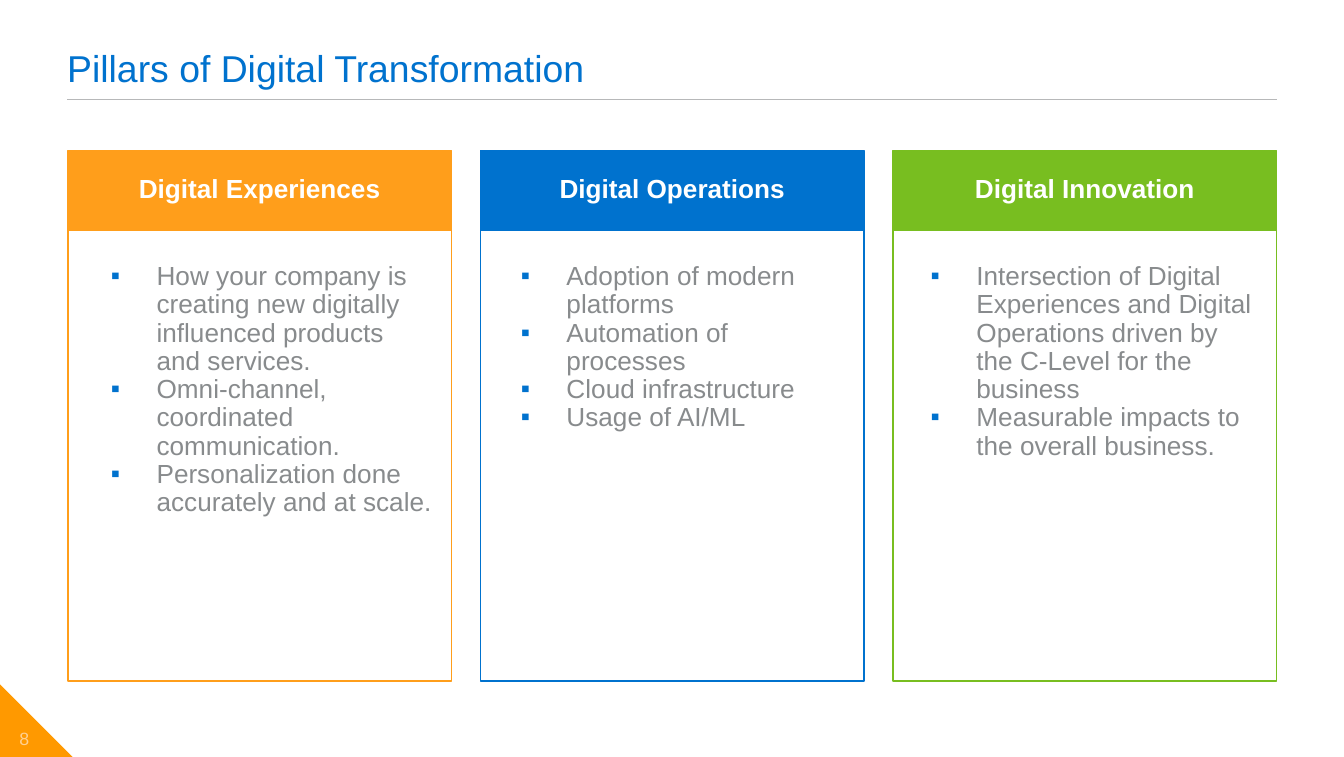
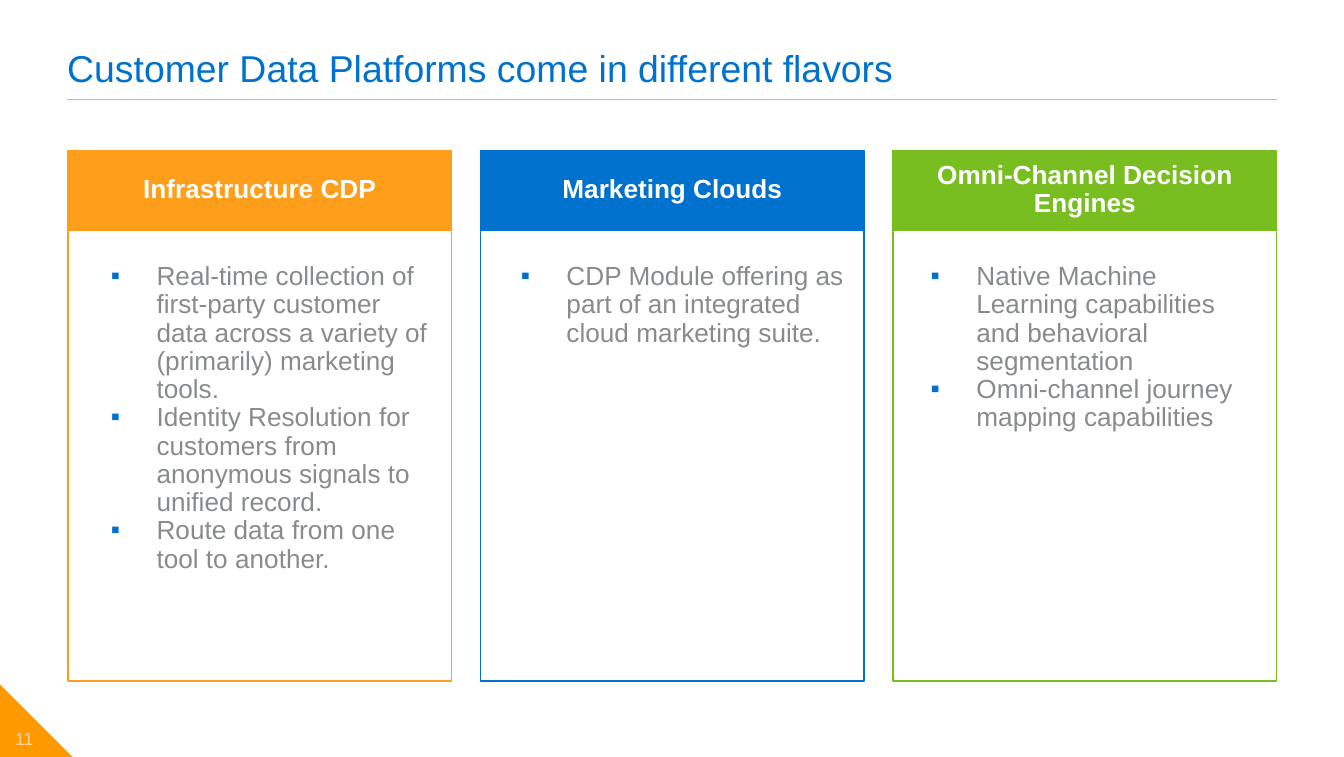
from copy import deepcopy

from lxml import etree
from pptx import Presentation
from pptx import util as u
from pptx.dml.color import RGBColor
from pptx.enum import shapes, text
from pptx.oxml.ns import qn

# Content: page number, title, then (heading, bullets) for each column
SLIDES = [
    (8, "Pillars of Digital Transformation", [
        ("Digital Experiences", [
            "How your company is creating new digitally influenced products and services.",
            "Omni-channel, coordinated communication.",
            "Personalization done accurately and at scale.",
        ]),
        ("Digital Operations", [
            "Adoption of modern platforms",
            "Automation of processes",
            "Cloud infrastructure",
            "Usage of AI/ML",
        ]),
        ("Digital Innovation", [
            "Intersection of Digital Experiences and Digital Operations driven by "
            "the C-Level for the business",
            "Measurable impacts to the overall business.",
        ]),
    ]),
    (11, "Customer Data Platforms come in different flavors", [
        ("Infrastructure CDP", [
            "Real-time collection of first-party customer data across a variety of "
            "(primarily) marketing tools.",
            "Identity Resolution for customers from anonymous signals to unified record.",
            "Route data from one tool to another.",
        ]),
        ("Marketing Clouds", [
            "CDP Module offering as part of an integrated cloud marketing suite.",
        ]),
        ("Omni-Channel Decision Engines", [
            "Native Machine Learning capabilities and behavioral segmentation",
            "Omni-channel journey mapping capabilities",
        ]),
    ]),
]

# Shared look
COLORS = {
    "orange": "FF9E1B", "blue": "0072CE", "green": "78BE20",
    "corner": "FF9900", "number": "FFD092", "rule": "B7B8B9",
    "body": "888B8D", "white": "FFFFFF",
}
COLUMN_COLORS = ["orange", "blue", "green"]
FONT = "Arial"
LINE_WIDTH = u.Pt(0.75)

# Geometry in px, 200 px to the inch
SCALE = 4572
WIDTH, HEIGHT = 2000, 1126
MARGIN, RULE_Y = 100, 148
TITLE = (MARGIN, 23, 1800, 112)
CORNER = 108
NUMBER = (-9, 1071, 90, 60)
FRAME_LEFT, FRAME_PITCH, FRAME_WIDTH = 101, 614, 571
HEADING_TOP, HEADING_HEIGHT = 224, 118
FRAME_TOP, FRAME_HEIGHT = HEADING_TOP + HEADING_HEIGHT, 671
LIST_LEFT, LIST_PITCH, LIST_WIDTH = 133, 610, 514
LIST_TOP, LIST_HEIGHT = 391, 588
HEADING_INSET = 20
BULLET_MARGIN, BULLET_HANG = 100, 68

# Placeholder numbers of each column's heading and list
COMPARISON = 4
HEADING_IDS, LIST_IDS = (1, 3, 5), (2, 4, 6)


def px(length):
    return u.Emu(length * SCALE)


def color(name):
    return RGBColor.from_string(COLORS[name])


def place(shape, left, top, width, height):
    shape.left, shape.top = px(left), px(top)
    shape.width, shape.height = px(width), px(height)


def paint(shape, fill=None, line=None):
    if fill:
        shape.fill.solid()
        shape.fill.fore_color.rgb = color(fill)
    else:
        shape.fill.background()
    if line:
        shape.line.color.rgb = color(line)
        shape.line.width = LINE_WIDTH
    else:
        shape.line.fill.background()


def add_bullet(para):
    props = para._p.get_or_add_pPr()
    props.set("marL", str(px(BULLET_MARGIN)))
    props.set("indent", str(-px(BULLET_HANG)))
    tint = etree.SubElement(props, qn("a:buClr"))
    etree.SubElement(tint, qn("a:srgbClr"), val=COLORS["blue"])
    etree.SubElement(props, qn("a:buFont"), typeface=FONT)
    etree.SubElement(props, qn("a:buChar"), char="▪")


def write(shape, lines, size, ink, align=text.PP_ALIGN.LEFT,
          anchor=text.MSO_ANCHOR.TOP, inset=0, bold=False, bullets=False):
    frame = shape.text_frame
    frame.word_wrap = True
    frame.auto_size = text.MSO_AUTO_SIZE.NONE
    frame.vertical_anchor = anchor
    frame.margin_left = frame.margin_right = px(inset)
    frame.margin_top = frame.margin_bottom = px(inset)
    frame.text = "\n".join(lines)
    for para in frame.paragraphs:
        para.alignment = align
        para.line_spacing = 0.9
        para.space_before = u.Pt(0)
        if bullets:
            add_bullet(para)
        para.font.name, para.font.size = FONT, u.Pt(size)
        para.font.bold = bold
        para.font.color.rgb = color(ink)


def add_box(page, kind, spot, **colors):
    box = page.shapes.add_shape(kind, *map(px, spot))
    box.shadow.inherit = False
    paint(box, **colors)


def add_third_column(layout):
    """Give the two-column comparison layout a third heading and list."""
    for holder in list(layout.placeholders):
        number = holder.placeholder_format.idx
        if number in (HEADING_IDS[1], LIST_IDS[1]):
            twin = deepcopy(holder._element)
            twin.find(".//" + qn("p:cNvPr")).set("id", str(20 + number))
            twin.find(".//" + qn("p:ph")).set("idx", str(number + 2))
            holder._element.addnext(twin)


def add_backdrop(page, number):
    add_box(page, shapes.MSO_SHAPE.RIGHT_TRIANGLE,
            (0, HEIGHT - CORNER, CORNER, CORNER), fill="corner")
    rule = page.shapes.add_connector(
        shapes.MSO_CONNECTOR.STRAIGHT,
        px(MARGIN), px(RULE_Y), px(WIDTH - MARGIN), px(RULE_Y))
    rule.line.color.rgb = color("rule")
    rule.line.width = LINE_WIDTH
    etree.SubElement(rule._element.spPr, qn("a:effectLst"))
    box = page.shapes.add_textbox(*map(px, NUMBER))
    write(box, [str(number)], 9.5, "number", text.PP_ALIGN.CENTER,
          text.MSO_ANCHOR.MIDDLE)


def add_column(page, index, heading, items):
    tint = COLUMN_COLORS[index]
    left = FRAME_LEFT + index * FRAME_PITCH
    add_box(page, shapes.MSO_SHAPE.RECTANGLE,
            (left, FRAME_TOP, FRAME_WIDTH, FRAME_HEIGHT), line=tint)
    holders = {item.placeholder_format.idx: item for item in page.placeholders}

    banner = holders[HEADING_IDS[index]]
    place(banner, left, HEADING_TOP, FRAME_WIDTH, HEADING_HEIGHT)
    paint(banner, fill=tint, line=tint)
    write(banner, [heading], 14, "white", text.PP_ALIGN.CENTER,
          text.MSO_ANCHOR.MIDDLE, HEADING_INSET, bold=True)

    listing = holders[LIST_IDS[index]]
    place(listing, LIST_LEFT + index * LIST_PITCH, LIST_TOP, LIST_WIDTH, LIST_HEIGHT)
    write(listing, items, 14, "body", bullets=True)


def main():
    deck = Presentation()
    deck.slide_width, deck.slide_height = px(WIDTH), px(HEIGHT)
    layout = deck.slide_layouts[COMPARISON]
    add_third_column(layout)
    for number, title, columns in SLIDES:
        page = deck.slides.add_slide(layout)
        add_backdrop(page, number)
        place(page.shapes.title, *TITLE)
        write(page.shapes.title, [title], 20, "blue", anchor=text.MSO_ANCHOR.BOTTOM)
        for index, (heading, items) in enumerate(columns):
            add_column(page, index, heading, items)
    deck.save("out.pptx")


if __name__ == "__main__":
    main()
